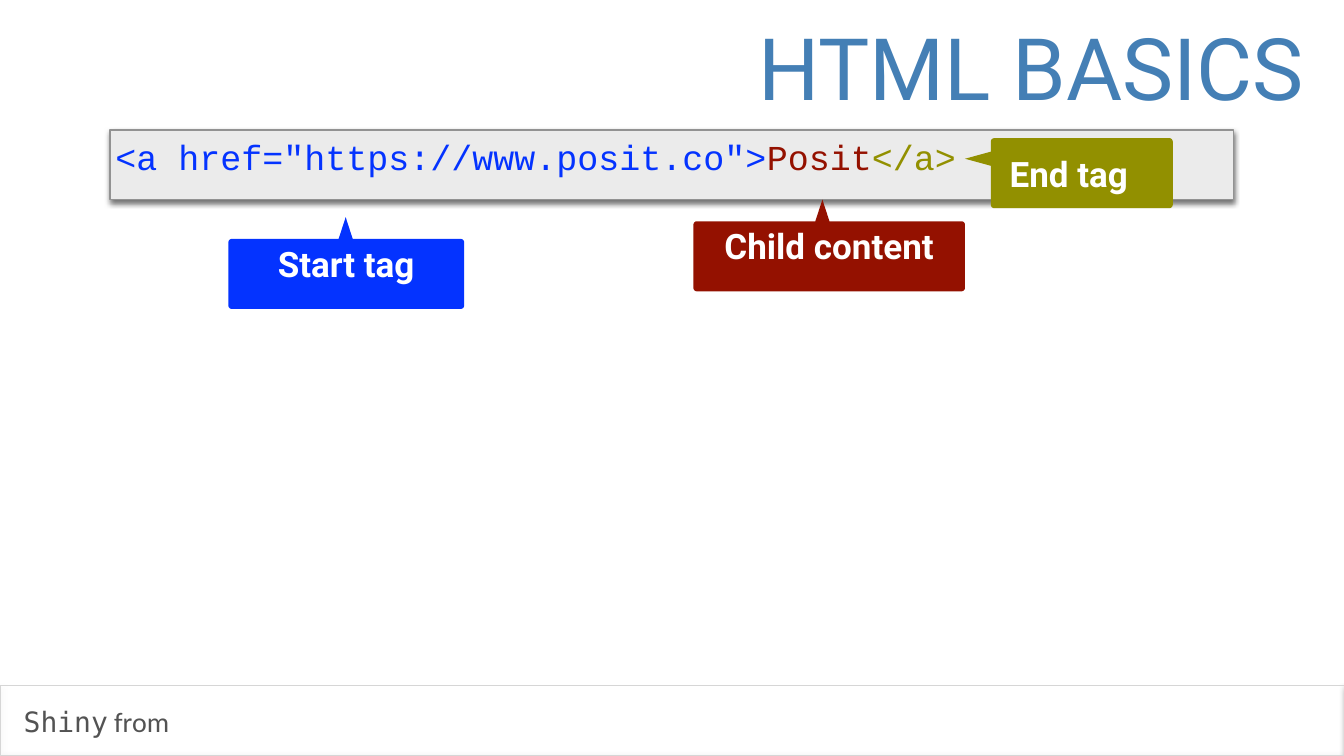
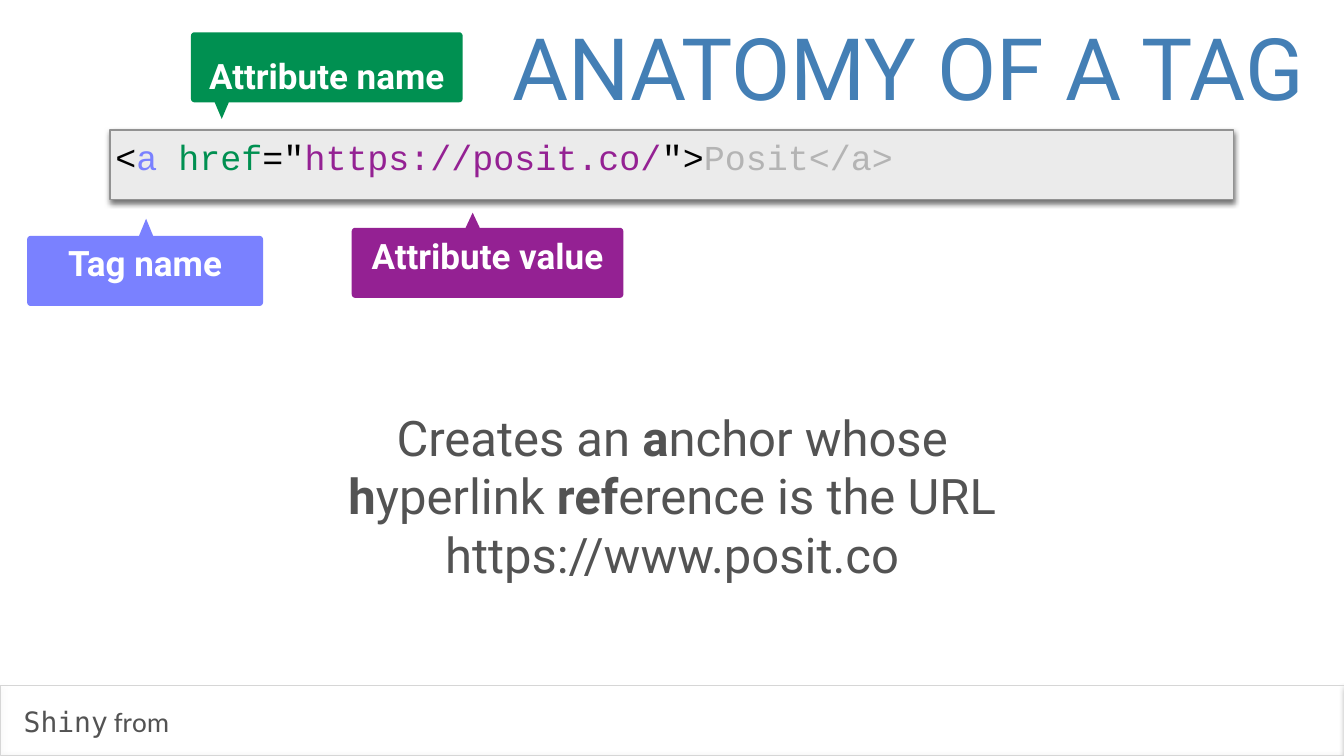
"""Build two slides on HTML tags: highlighted code with speech-bubble labels."""

from dataclasses import dataclass
from math import cos, pi, sin

from lxml.etree import SubElement
from pptx import Presentation
from pptx.dml.color import RGBColor
from pptx.enum.shapes import MSO_SHAPE
from pptx.enum.text import MSO_ANCHOR, MSO_AUTO_SIZE, PP_ALIGN
from pptx.oxml.ns import qn
from pptx.util import Inches, Pt


@dataclass(frozen=True)
class Theme:
    title: str = "447FB5"
    body: str = "535353"
    white: str = "FFFFFF"
    black: str = "000000"
    code_fill: str = "EBEBEB"
    code_line: str = "929292"
    footer_line: str = "D6D6D6"
    blue: str = "0433FF"
    red: str = "941100"
    olive: str = "929000"
    violet: str = "7A81FF"
    green: str = "009051"
    purple: str = "942193"
    faded: str = "B4B4B4"
    font: str = "Roboto"
    code_font: str = "Courier New"
    title_size: int = 123
    body_size: int = 70
    code_size: int = 50
    footer_size: int = 40


THEME = Theme()
WIDTH, HEIGHT = 26.67, 15
TOP, RIGHT, BOTTOM, LEFT = range(4)
CLOCKWISE = [(1, 0), (0, 1), (-1, 0), (0, -1)]
BUBBLE_HEIGHT, CORNER, POINTER = 9.27, 0.07, 0.14

TITLE_AREA = (2.74, 1.53, 94.53, 14.53)
CODE_AREA = (8.17, 17.2, 83.61, 9.2)
TEXT_AREA = (16.12, 53.47, 67.79, 24.07)
FOOTER_AREA = (0.04, 90.67, 100, 9.27)
FOOTER_TEXT_AREA = (1.54, 92.87, 12, 5.2)

FOOTER = [[("Shiny", {"font": "DejaVu Sans Mono"}), (" from", {})]]
SLIDES = [
    {
        "title": "HTML BASICS",
        "code": [
            ('<a href="https://www.posit.co">', THEME.blue),
            ("Posit", THEME.red),
            ("</a>", THEME.olive),
        ],
        "bubbles": [
            ("Start tag", THEME.blue, (16.99, 31.6, 17.55), TOP, (25.72, 28.73)),
            ("End tag", THEME.olive, (73.72, 18.27, 13.54), LEFT, (71.8, 21)),
            ("Child content", THEME.red, (51.59, 29.27, 20.21), TOP, (61.19, 26.4)),
        ],
        "text": [],
    },
    {
        "title": "ANATOMY OF A TAG",
        "code": [
            ("<", THEME.black),
            ("a ", THEME.violet),
            ("href", THEME.green),
            ('="', THEME.black),
            ("https://posit.co/", THEME.purple),
            ('">', THEME.black),
            ("Posit</a>", THEME.faded),
        ],
        "bubbles": [
            ("Tag name", THEME.violet, (2.02, 31.2, 17.55), TOP, (10.87, 28.93)),
            ("Attribute name", THEME.green, (14.21, 4.27, 20.21), BOTTOM, (16.5, 15.73)),
            ("Attribute value", THEME.purple, (26.17, 30.13, 20.21), TOP, (35.17, 28.13)),
        ],
        "text": [
            [("Creates an ", {}), ("a", {"bold": True}), ("nchor whose", {})],
            [("h", {"bold": True}), ("yperlink ", {}), ("ref", {"bold": True}),
             ("erence is the URL", {})],
            [("https://www.posit.co", {})],
        ],
    },
]


def inches(*shares):
    """Turn alternating horizontal and vertical percentages into inches."""
    return [share * (HEIGHT if i % 2 else WIDTH) / 100 for i, share in enumerate(shares)]


def place(area):
    """Return an area given in percentages as slide lengths."""
    return [Inches(length) for length in inches(*area)]


def write(shape, lines, *, size, color, font=THEME.font, bold=False,
          align=PP_ALIGN.LEFT, anchor=MSO_ANCHOR.MIDDLE, inset=0.06):
    """Write lines of (text, format) spans into one paragraph of a shape."""
    frame = shape.text_frame
    frame.word_wrap, frame.auto_size = True, MSO_AUTO_SIZE.NONE
    frame.vertical_anchor = anchor
    frame.margin_left = frame.margin_right = Inches(inset)
    frame.margin_top = frame.margin_bottom = Inches(inset)
    para = frame.paragraphs[0]
    para.alignment = align
    para.font.size = Pt(size)
    for number, line in enumerate(lines):
        if number:
            para.add_line_break()
        for text, style in line:
            span = para.add_run()
            span.text = text
            span.font.size = Pt(size)
            span.font.name = style.get("font", font)
            span.font.bold = style.get("bold", bold)
            span.font.color.rgb = RGBColor.from_string(style.get("color", color))


def add_panel(page, area, *, line, width, fill=None, shadow):
    """Add an outlined rectangle with a soft shadow."""
    panel = page.shapes.add_shape(MSO_SHAPE.RECTANGLE, *place(area))
    if fill:
        panel.fill.solid()
        panel.fill.fore_color.rgb = RGBColor.from_string(fill)
    else:
        panel.fill.background()
    panel.line.color.rgb = RGBColor.from_string(line)
    panel.line.width = Pt(width)
    panel.shadow.inherit = False
    opacity, blur, distance, angle = shadow
    effects = panel._element.spPr.find(qn("a:effectLst"))
    outer = SubElement(effects, qn("a:outerShdw"), blurRad=str(Pt(blur)),
                       dist=str(Pt(distance)), dir=str(angle * 60000), rotWithShape="0")
    shade = SubElement(outer, qn("a:srgbClr"), val=THEME.black)
    SubElement(shade, qn("a:alpha"), val=str(opacity * 1000))
    return panel


def bubble_outline(spot, side, tip):
    """Trace a rounded box clockwise in inches, with a pointer on one side."""
    left, top, width, height = inches(*spot, BUBBLE_HEIGHT)
    right, bottom = left + width, top + height
    tip_x, tip_y = inches(*tip)
    feet = [(tip_x, top), (right, tip_y), (tip_x, bottom), (left, tip_y)]
    centers = [
        (left + CORNER, top + CORNER), (right - CORNER, top + CORNER),
        (right - CORNER, bottom - CORNER), (left + CORNER, bottom - CORNER),
    ]
    points = []
    for edge, (x, y) in enumerate(centers):
        for step in range(5):
            angle = pi + (edge + step / 4) * pi / 2
            points.append((x + CORNER * cos(angle), y + CORNER * sin(angle)))
        if edge == side:
            (foot_x, foot_y), (run, rise) = feet[edge], CLOCKWISE[edge]
            points += [(foot_x - run * POINTER, foot_y - rise * POINTER), (tip_x, tip_y),
                       (foot_x + run * POINTER, foot_y + rise * POINTER)]
    return points


def add_bubble(page, label, color, spot, side, tip):
    """Add a labelled speech bubble."""
    start, *rest = [(Inches(x), Inches(y)) for x, y in bubble_outline(spot, side, tip)]
    builder = page.shapes.build_freeform(*start)
    builder.add_line_segments(rest, close=True)
    bubble = builder.convert_to_shape()
    bubble.fill.solid()
    bubble.fill.fore_color.rgb = RGBColor.from_string(color)
    bubble.line.fill.background()
    bubble.shadow.inherit = False
    write(bubble, [[(label, {})]], size=THEME.code_size, color=THEME.white,
          bold=True, align=PP_ALIGN.CENTER)


def add_text(page, area, lines, **style):
    """Add a text box."""
    write(page.shapes.add_textbox(*place(area)), lines, color=THEME.body, **style)


def add_page(deck, content):
    """Add one slide with its footer, title, code, bubbles and text."""
    page = deck.slides.add_slide(deck.slide_layouts[5])
    add_panel(page, FOOTER_AREA, line=THEME.footer_line, width=1, shadow=(50, 4, 1.6, 90))
    add_text(page, FOOTER_TEXT_AREA, FOOTER, size=THEME.footer_size, font="Calibri")

    title = page.shapes.title
    title.left, title.top, title.width, title.height = place(TITLE_AREA)
    write(title, [[(content["title"], {})]], size=THEME.title_size,
          color=THEME.title, align=PP_ALIGN.RIGHT)

    panel = add_panel(page, CODE_AREA, line=THEME.code_line, width=2,
                      fill=THEME.code_fill, shadow=(55, 8, 4, 91))
    code = [(text, {"color": color}) for text, color in content["code"]]
    write(panel, [code], size=THEME.code_size, color=THEME.black,
          font=THEME.code_font, anchor=MSO_ANCHOR.TOP, inset=0.11)

    for bubble in content["bubbles"]:
        add_bubble(page, *bubble)
    if content["text"]:
        add_text(page, TEXT_AREA, content["text"], size=THEME.body_size,
                 align=PP_ALIGN.CENTER)


def main():
    """Build and save the deck."""
    deck = Presentation()
    deck.slide_width, deck.slide_height = Inches(WIDTH), Inches(HEIGHT)
    for content in SLIDES:
        add_page(deck, content)
    deck.save("out.pptx")


if __name__ == "__main__":
    main()
